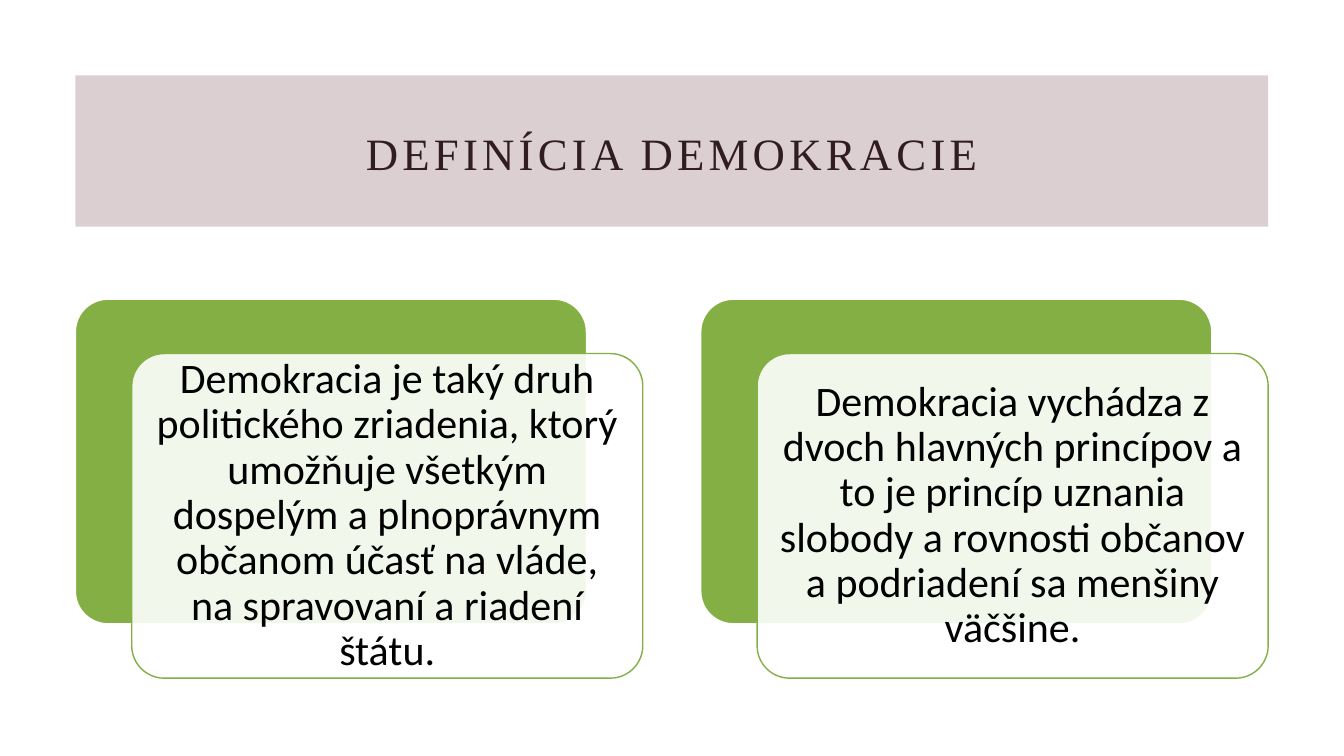
from lxml import etree
from pptx import Presentation
from pptx.dml.color import RGBColor
from pptx.enum.shapes import MSO_SHAPE
from pptx.enum.text import MSO_ANCHOR, MSO_AUTO_SIZE, PP_ALIGN
from pptx.oxml.ns import qn
from pptx.util import Cm, Pt

RECT = MSO_SHAPE.RECTANGLE
ROUND = MSO_SHAPE.ROUNDED_RECTANGLE
MIDDLE = MSO_ANCHOR.MIDDLE
CENTER = PP_ALIGN.CENTER
FIXED = MSO_AUTO_SIZE.NONE

WHITE = RGBColor(0xFF, 0xFF, 0xFF)
BLACK = RGBColor(0, 0, 0)
GREEN = RGBColor(0x83, 0xAF, 0x45)
MAUVE = RGBColor(0x76, 0x43, 0x4F)
PLUM = RGBColor(0x31, 0x1C, 0x21)

TITLE = "DEFINÍCIA DEMOKRACIE"
CARDS = [
    "Demokracia je taký druh politického zriadenia, ktorý umožňuje všetkým "
    "dospelým a plnoprávnym občanom účasť na vláde, na spravovaní a riadení štátu.",
    "Demokracia vychádza z dvoch hlavných princípov a to je princíp uznania "
    "slobody a rovnosti občanov a podriadení sa menšiny väčšine.",
]


def add_box(slide, kind, box, fill, line=None, alpha=100):
    shape = slide.shapes.add_shape(kind, *box)
    shape.shadow.inherit = False
    shape.fill.solid()
    shape.fill.fore_color.rgb = fill
    if alpha < 100:
        color = shape.fill._xPr.find(qn("a:solidFill"))[0]
        etree.SubElement(color, qn("a:alpha"), val=str(alpha * 1000))
    if line is None:
        shape.line.fill.background()
    else:
        shape.line.color.rgb = line
        shape.line.width = Pt(1)
    if kind == ROUND:
        shape.adjustments[0] = 0.1
    return shape


def set_text(shape, text, face, size, color):
    frame = shape.text_frame
    frame.text = text
    frame.word_wrap = True
    frame.auto_size = FIXED
    frame.vertical_anchor = MIDDLE
    para = frame.paragraphs[0]
    para.alignment = CENTER
    para.line_spacing = 0.9
    para.font.name = face
    para.font.size = Pt(size)
    para.font.color.rgb = color
    return para


def add_title(slide, left, top, width, height):
    add_box(slide, RECT, (left, top, width, height), MAUVE, alpha=25)
    title = slide.shapes.title
    title.left, title.top = left + Cm(1.98), top + Cm(0.74)
    title.width, title.height = width - Cm(3.96), Cm(2.6)
    para = set_text(title, TITLE, "Times New Roman", 32, PLUM)
    para._p.pPr.find(qn("a:defRPr")).set("spc", "300")
    slide.shapes._spTree.append(title._element)


def add_card(slide, left, top, width, height, text):
    shift, drop = Cm(1.42), Cm(1.37)
    size = width - shift, height - drop
    add_box(slide, ROUND, (left, top, *size), GREEN, WHITE)
    card = add_box(slide, ROUND, (left + shift, top + drop, *size), WHITE, GREEN, 90)
    frame = card.text_frame
    frame.margin_left = frame.margin_right = Cm(0.3)
    frame.margin_top = frame.margin_bottom = Cm(0.3)
    set_text(card, text, "Calibri", 30, BLACK)


def main():
    deck = Presentation()
    deck.slide_width, deck.slide_height = Cm(33.87), Cm(19.05)
    slide = deck.slides.add_slide(deck.slide_layouts[5])
    left, width = Cm(1.9), Cm(30.06)
    add_title(slide, left, Cm(1.9), width, Cm(3.81))
    wide = Cm(14.3)
    step = (width - wide) // (len(CARDS) - 1)
    for i, text in enumerate(CARDS):
        add_card(slide, left + i * step, Cm(7.54), wide, Cm(9.55), text)
    deck.save("out.pptx")


if __name__ == "__main__":
    main()
